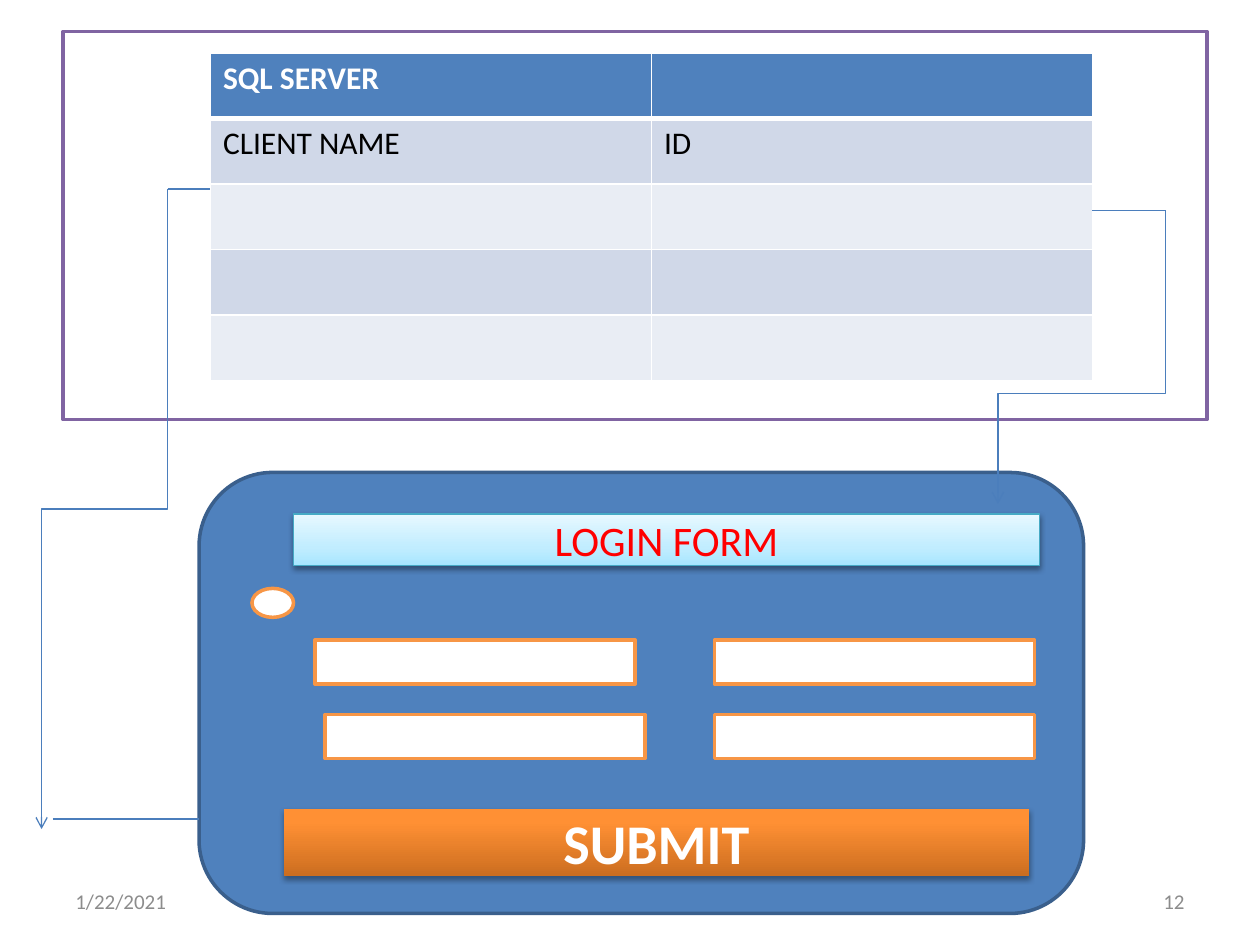
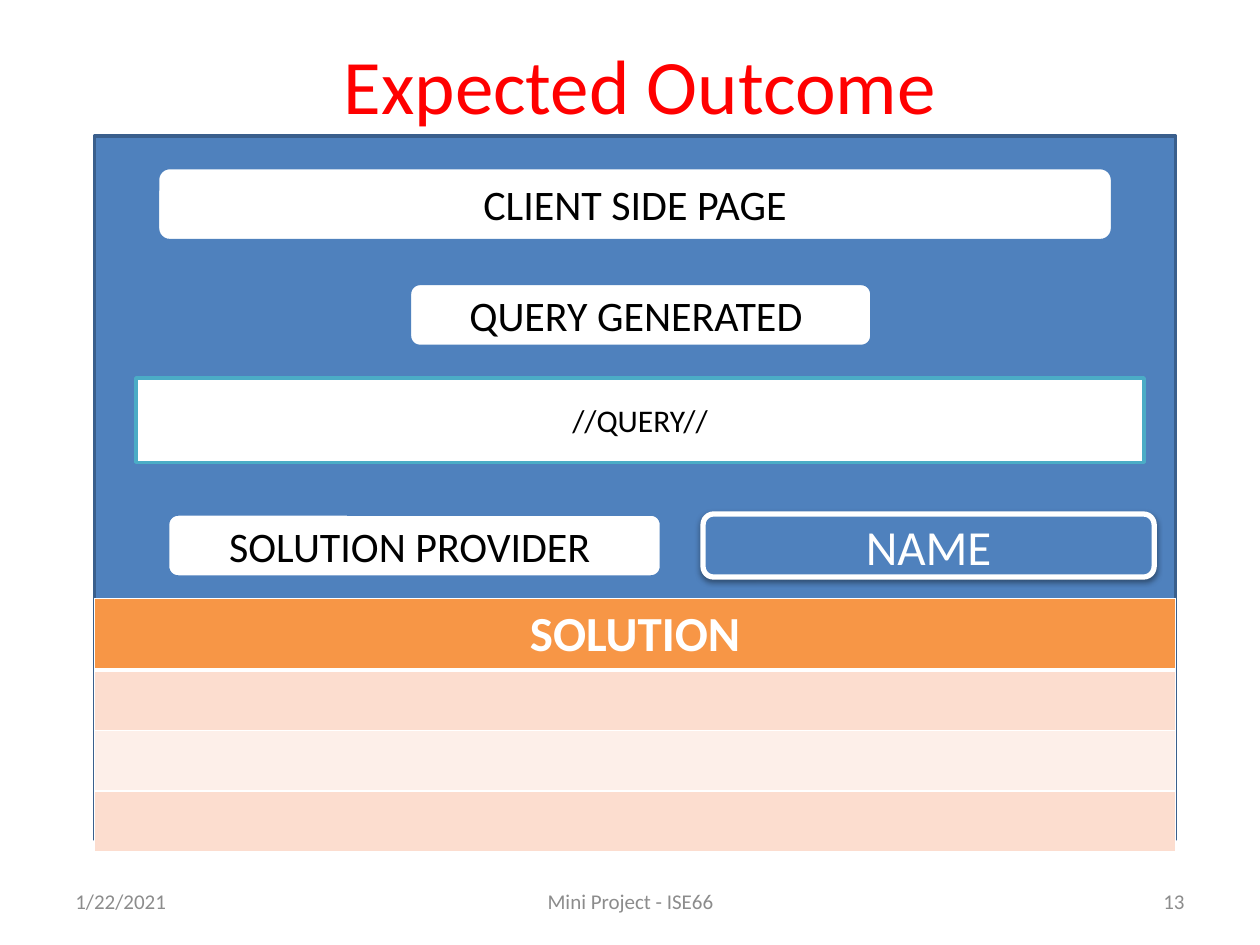
from lxml import etree
from pptx import Presentation
from pptx.dml.color import RGBColor
from pptx.enum import shapes, text
from pptx.oxml import ns
from pptx.util import Inches, Pt

FONT = "Calibri"
WHITE = RGBColor(0xFF, 0xFF, 0xFF)
BLACK = RGBColor(0, 0, 0)
RED = RGBColor(0xFF, 0, 0)
GREY = RGBColor(0x8C, 0x8C, 0x8C)
BLUE = RGBColor(0x4F, 0x81, 0xBD)
NAVY = RGBColor(0x3A, 0x5F, 0x8C)
WIRE = RGBColor(0x4B, 0x7E, 0xBC)
PURPLE = RGBColor(0x80, 0x64, 0xA2)
TEAL = RGBColor(0x4B, 0xAC, 0xC6)
TEAL_EDGE = RGBColor(0x46, 0xAA, 0xC5)
ORANGE = RGBColor(0xF7, 0x96, 0x46)
BLUE_BANDS = RGBColor(0xD0, 0xD8, 0xE8), RGBColor(0xE9, 0xED, 0xF4)
ORANGE_BANDS = RGBColor(0xFC, 0xDD, 0xCF), RGBColor(0xFD, 0xEF, 0xE9)
SKY_STOPS = [(0, "A7E6FF"), (35, "C1EDFF"), (100, "E7F8FF")]
AMBER_STOPS = [(0, "CC6E20"), (80, "FF9034"), (100, "FF9136")]

RECT = shapes.MSO_SHAPE.RECTANGLE
ROUND = shapes.MSO_SHAPE.ROUNDED_RECTANGLE
OVAL = shapes.MSO_SHAPE.OVAL
LEFT, CENTER, RIGHT = text.PP_ALIGN.LEFT, text.PP_ALIGN.CENTER, text.PP_ALIGN.RIGHT


def add_xml(parent, tag, **attrs):
    return etree.SubElement(parent, ns.qn(tag), {k: str(v) for k, v in attrs.items()})


class Deck:
    def __init__(self):
        self.prs = Presentation()
        self.prs.slide_width, self.prs.slide_height = Inches(10), Inches(7.5)
        self.s = None

    def new_slide(self):
        self.s = self.prs.slides.add_slide(self.prs.slide_layouts[6])

    def set_text(self, tf, words, size, color, align=CENTER, bold=False):
        p = tf.paragraphs[0]
        p.text = words
        p.alignment = align
        p.font.name, p.font.size, p.font.bold = FONT, Pt(size), bold
        p.font.color.rgb = color

    def label(self, box, words, size, color, align=CENTER):
        tf = self.s.shapes.add_textbox(*map(Inches, box)).text_frame
        tf.word_wrap = True
        tf.vertical_anchor = text.MSO_ANCHOR.MIDDLE
        self.set_text(tf, words, size, color, align)

    def footer(self, number, project=None):
        self.label((0.5, 6.95, 2.33, 0.4), "1/22/2021", 12, GREY, LEFT)
        if project:
            self.label((3.42, 6.95, 3.17, 0.4), project, 12, GREY)
        self.label((7.17, 6.95, 2.33, 0.4), str(number), 12, GREY, RIGHT)

    def shape(self, kind, box, fill, line=None, width=2, shadow=None):
        sp = self.s.shapes.add_shape(kind, *map(Inches, box))
        if isinstance(fill, list):
            self.gradient(sp, fill)
        else:
            sp.fill.solid()
            sp.fill.fore_color.rgb = fill
        if line is None:
            sp.line.fill.background()
        else:
            sp.line.color.rgb = line
            sp.line.width = Pt(width)
        sp.shadow.inherit = False
        if shadow:
            alpha, distance = shadow
            effects = sp._element.spPr.find(ns.qn("a:effectLst"))
            outer = add_xml(effects, "a:outerShdw", blurRad=Pt(3.1), dist=Pt(distance),
                            dir=5400000, rotWithShape=0)
            color = add_xml(outer, "a:srgbClr", val="000000")
            add_xml(color, "a:alpha", val=alpha * 1000)
        return sp

    def gradient(self, sp, stops):
        sp.fill.gradient()
        sp.fill.gradient_angle = 90
        gs_list = sp._element.spPr.find(ns.qn("a:gradFill")).find(ns.qn("a:gsLst"))
        for old in list(gs_list):
            gs_list.remove(old)
        for position, color in stops:
            add_xml(add_xml(gs_list, "a:gs", pos=position * 1000), "a:srgbClr", val=color)

    def caption(self, sp, words, size, color, bold=False):
        tf = sp.text_frame
        tf.word_wrap = True
        tf.vertical_anchor = text.MSO_ANCHOR.MIDDLE
        self.set_text(tf, words, size, color, bold=bold)

    def wire(self, x1, y1, x2, y2, kind=shapes.MSO_CONNECTOR.STRAIGHT):
        cx = self.s.shapes.add_connector(kind, *map(Inches, (x1, y1, x2, y2)))
        cx.line.color.rgb = WIRE
        cx.line.width = Pt(0.75)
        add_xml(cx._element.spPr, "a:effectLst")
        return cx

    def bent_arrow(self, x1, y1, x2, y2, bend=0.5):
        mid_x, mid_y = (x1 + x2) / 2, (y1 + y2) / 2
        half_w, half_h = (y2 - y1) / 2, (x1 - x2) / 2
        cx = self.wire(mid_x - half_w, mid_y - half_h, mid_x + half_w, mid_y + half_h,
                       shapes.MSO_CONNECTOR.ELBOW)
        sp_pr = cx._element.spPr
        sp_pr.find(ns.qn("a:xfrm")).set("rot", "5400000")
        guides = sp_pr.find(ns.qn("a:prstGeom")).find(ns.qn("a:avLst"))
        add_xml(guides, "a:gd", name="adj1", fmla=f"val {round(bend * 100000)}")
        add_xml(sp_pr.find(ns.qn("a:ln")), "a:tailEnd", type="arrow")

    def borders(self, cell, top, bottom):
        tc_pr = cell._tc.get_or_add_tcPr()
        for tag, width in (("a:lnL", 1), ("a:lnR", 1), ("a:lnT", top), ("a:lnB", bottom)):
            ln = add_xml(tc_pr, tag, w=Pt(width))
            add_xml(add_xml(ln, "a:solidFill"), "a:srgbClr", val=WHITE)

    def table(self, box, row_height, rows, head_fill, bands, head_size, align):
        table = self.s.shapes.add_table(len(rows), len(rows[0]), *map(Inches, box)).table
        table.horz_banding = False
        for i, row in enumerate(rows):
            table.rows[i].height = Inches(row_height)
            head = i == 0
            for j, words in enumerate(row):
                cell = table.cell(i, j)
                self.borders(cell, 3 if i == 1 else 1, 3 if head else 1)
                cell.fill.solid()
                cell.fill.fore_color.rgb = head_fill if head else bands[(i - 1) % 2]
                if words:
                    self.set_text(cell.text_frame, words, head_size if head else 18,
                                  WHITE if head else BLACK, align, head)


def login_slide(deck):
    deck.new_slide()
    deck.footer(12)
    deck.shape(ROUND, (1.58, 3.75, 7.02, 3.5), BLUE, NAVY)
    heading = deck.shape(RECT, (2.33, 4.08, 5.92, 0.41), SKY_STOPS, TEAL_EDGE, 0.75, (38, 1.6))
    deck.caption(heading, "LOGIN FORM", 24, RED)
    deck.shape(OVAL, (2, 4.67, 0.33, 0.23), WHITE, ORANGE)
    for x, y in ((2.5, 5.08), (2.58, 5.67), (5.67, 5.08), (5.67, 5.67)):
        deck.shape(RECT, (x, y, 2.54, 0.35), WHITE, ORANGE)
    submit = deck.shape(RECT, (2.25, 6.42, 5.92, 0.53), AMBER_STOPS, shadow=(35, 1.8))
    deck.caption(submit, "SUBMIT", 32, WHITE, True)
    deck.shape(RECT, (0.5, 0.25, 9.08, 3.08), WHITE, PURPLE)
    rows = [("SQL SERVER", ""), ("CLIENT NAME", "ID")] + [("", "")] * 3
    deck.table((1.67, 0.42, 7, 2.58), 0.52, rows, BLUE, BLUE_BANDS, 18, LEFT)
    deck.bent_arrow(1.33, 1.5, 0.33, 6.58)
    deck.wire(1.33, 1.5, 1.67, 1.5)
    deck.wire(0.42, 6.5, 1.58, 6.5)
    deck.bent_arrow(9.25, 1.67, 7.92, 4, 0.625)
    deck.wire(8.67, 1.67, 9.25, 1.67)


def outcome_slide(deck):
    deck.new_slide()
    deck.label((0.58, 0.04, 9, 1.25), "Expected Outcome", 44, RED)
    deck.footer(13, "Mini Project - ISE66")
    deck.shape(RECT, (0.75, 1.08, 8.58, 5.58), BLUE, NAVY)
    for box, words in (
        ((1.25, 1.33, 7.58, 0.58), "CLIENT SIDE PAGE"),
        ((3.25, 2.25, 3.67, 0.5), "QUERY GENERATED "),
        ((1.33, 4.08, 3.92, 0.5), "SOLUTION PROVIDER "),
    ):
        deck.caption(deck.shape(ROUND, box, WHITE, BLUE), words, 24, BLACK)
    rows = [("SOLUTION",)] + [("",)] * 3
    deck.table((0.75, 4.75, 8.58, 1.92), 0.48, rows, ORANGE, ORANGE_BANDS, 28, CENTER)
    name = deck.shape(ROUND, (5.58, 4.08, 3.58, 0.5), BLUE, WHITE, 3, (38, 1.6))
    deck.caption(name, "NAME", 28, WHITE)
    query = deck.shape(RECT, (1.08, 3, 8, 0.67), WHITE, TEAL)
    deck.caption(query, "//QUERY//", 18, BLACK)


def main():
    deck = Deck()
    login_slide(deck)
    outcome_slide(deck)
    deck.prs.save("out.pptx")


if __name__ == "__main__":
    main()
